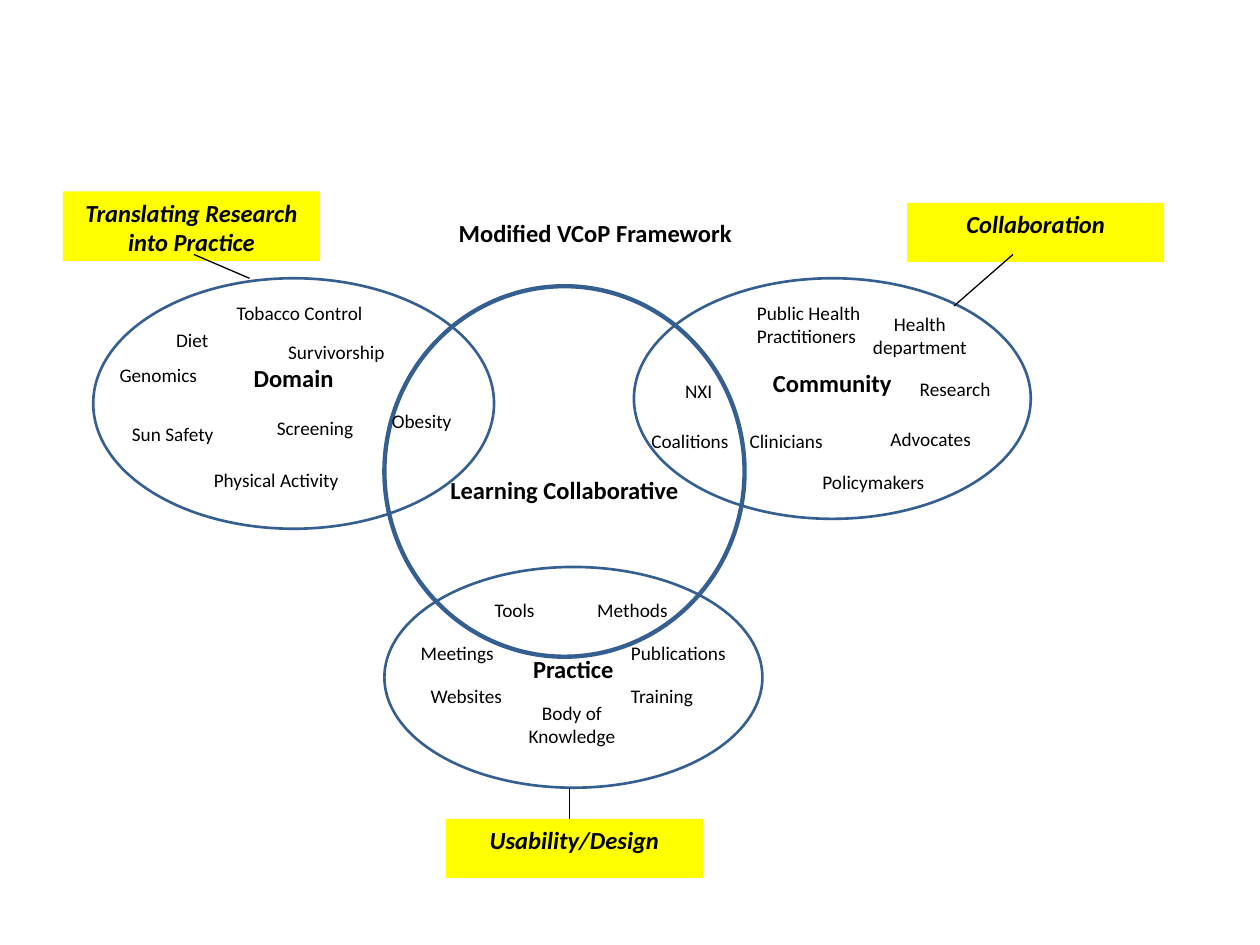
from lxml import etree
from pptx import Presentation
from pptx import util as u
from pptx.dml import color
from pptx.enum import shapes, text
from pptx.oxml import ns

INK, BLUE, GOLD, WHITE = "000000", "365F91", "FFFF00", "FFFFFF"
MID, LEFT = text.PP_ALIGN.CENTER, text.PP_ALIGN.LEFT


def rgb(code):
    return color.RGBColor.from_string(code)


def box(*sizes):
    return [u.Cm(size) for size in sizes]


class Board:
    face, small, large = "Calibri", u.Pt(11), u.Pt(14)

    def __init__(self, slide):
        self.slide = slide

    def letter(self, shape, words, size, align=MID, bold=False, slant=False,
               wrap=True, inset=0.13):
        frame = shape.text_frame
        frame.word_wrap = wrap
        frame.auto_size = text.MSO_AUTO_SIZE.NONE
        frame.vertical_anchor = text.MSO_ANCHOR.TOP
        frame.margin_top = u.Cm(inset)
        frame.text = words
        para = frame.paragraphs[0]
        para.alignment = align
        para.line_spacing = 1.0
        font = para.font
        font.name, font.size = self.face, size
        font.bold, font.italic = bold, slant
        font.color.rgb = rgb(INK)

    def title(self, words, *place):
        head = self.slide.shapes.title
        head.left, head.top, head.width, head.height = box(*place)
        self.letter(head, words, self.large, bold=True)

    def shape(self, kind, place):
        item = self.slide.shapes.add_shape(kind, *box(*place))
        item.shadow.inherit = False
        return item

    def ring(self, words, inset, *place, fill=None, width=1.5):
        ring = self.shape(shapes.MSO_SHAPE.OVAL, place)
        if fill:
            ring.fill.solid()
            ring.fill.fore_color.rgb = rgb(fill)
        else:
            ring.fill.background()
        ring.line.color.rgb = rgb(BLUE)
        ring.line.width = u.Pt(width)
        self.letter(ring, words, self.large, bold=True, wrap=False, inset=inset)

    def tag(self, words, *place):
        tag = self.shape(shapes.MSO_SHAPE.RECTANGLE, place)
        tag.fill.solid()
        tag.fill.fore_color.rgb = rgb(GOLD)
        tag.line.fill.background()
        self.letter(tag, words, self.large, bold=True, slant=True)

    def label(self, words, *place, align=LEFT):
        label = self.slide.shapes.add_textbox(*box(*place))
        self.letter(label, words, self.small, align)

    def line(self, *ends):
        line = self.slide.shapes.add_connector(
            shapes.MSO_CONNECTOR.STRAIGHT, *box(*ends))
        line.line.color.rgb = rgb(INK)
        line.line.width = u.Pt(0.75)
        etree.SubElement(line._element.spPr, ns.qn("a:effectLst"))


def main():
    deck = Presentation()
    deck.slide_width, deck.slide_height = box(25.4, 19.05)
    board = Board(deck.slides.add_slide(deck.slide_layouts[5]))

    board.title("Modified VCoP Framework", 7.49, 4.27, 9.02, 1.68)

    # Overlapping rings, each with the drop to its heading
    board.ring("Learning Collaborative", 2.72, 7.75, 5.77, 7.26, 7.47,
               fill=WHITE, width=2.5)
    board.ring("Domain", 0.97, 1.88, 5.61, 8.08, 5.05)
    board.ring("Practice", 1.1, 7.75, 11.43, 7.62, 4.45)
    board.ring("Community", 1.09, 12.78, 5.61, 8, 4.85)

    # One-line topics: left, top, width
    topics = [
        # Domain
        ("Tobacco Control", 4.52, 5.94, 3.38),
        ("Diet", 3.3, 6.48, 1.45),
        ("Genomics", 2.16, 7.19, 2.57),
        ("Survivorship", 5.56, 6.73, 3.12),
        ("Sun Safety", 2.41, 8.38, 2.31),
        ("Screening", 5.33, 8.26, 2.31),
        ("Physical Activity", 4.06, 9.32, 3.58),
        ("Obesity", 7.65, 8.13, 2.31),
        # Practice
        ("Methods", 11.79, 11.94, 2.21),
        ("Meetings", 8.23, 12.8, 2.21),
        ("Publications", 12.47, 12.8, 2.54),
        ("Websites", 8.43, 13.67, 2.21),
        ("Training", 12.47, 13.67, 2.21),
        # Community
        ("NXI", 13.56, 7.52, 1.45),
        ("Research", 18.29, 7.47, 2.51),
        ("Coalitions", 12.88, 8.53, 2.13),
        ("Clinicians", 14.86, 8.53, 2.21),
        ("Advocates", 17.7, 8.48, 2.21),
        ("Policymakers", 16.33, 9.35, 2.92),
    ]
    for words, left, top, width in topics:
        board.label(words, left, top, width, 0.86)

    # Centred and two-line topics
    board.label("Tools", 9.27, 11.94, 2.21, 0.86, align=MID)
    board.label("Body of Knowledge", 10.26, 14, 2.54, 1.52, align=MID)
    board.label("Health department", 17.07, 6.17, 2.95, 1.27, align=MID)
    board.label("Public Health Practitioners", 15.01, 5.94, 2.69, 1.32)

    # Yellow tags and the lines that tie them to the rings
    board.tag("Translating Research into Practice", 1.27, 3.86, 5.18, 1.4)
    board.tag("Collaboration", 18.29, 4.09, 5.18, 1.19)
    board.tag("Usability/Design", 8.99, 16.51, 5.18, 1.19)
    board.line(5.03, 5.61, 3.91, 5.13)
    board.line(20.42, 5.13, 19.23, 6.17)
    board.line(11.48, 16.51, 11.48, 15.88)

    deck.save("out.pptx")


if __name__ == "__main__":
    main()
